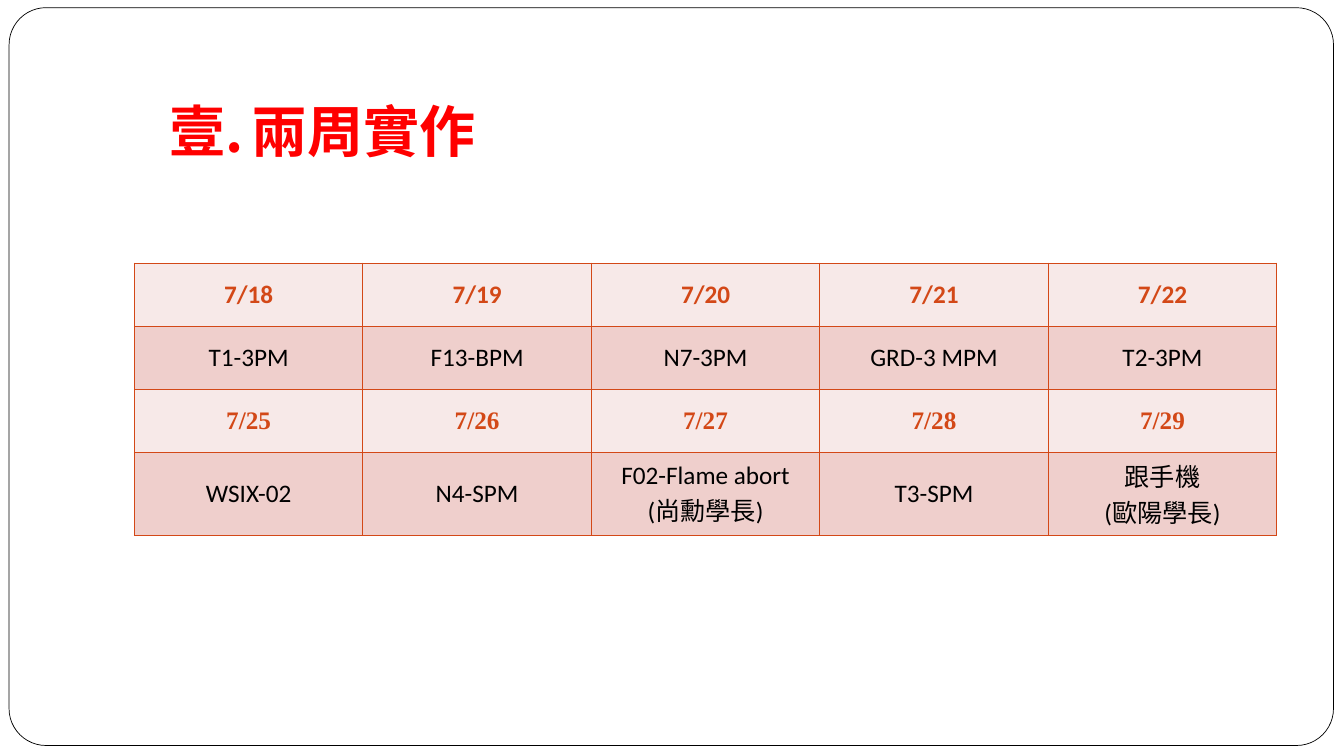
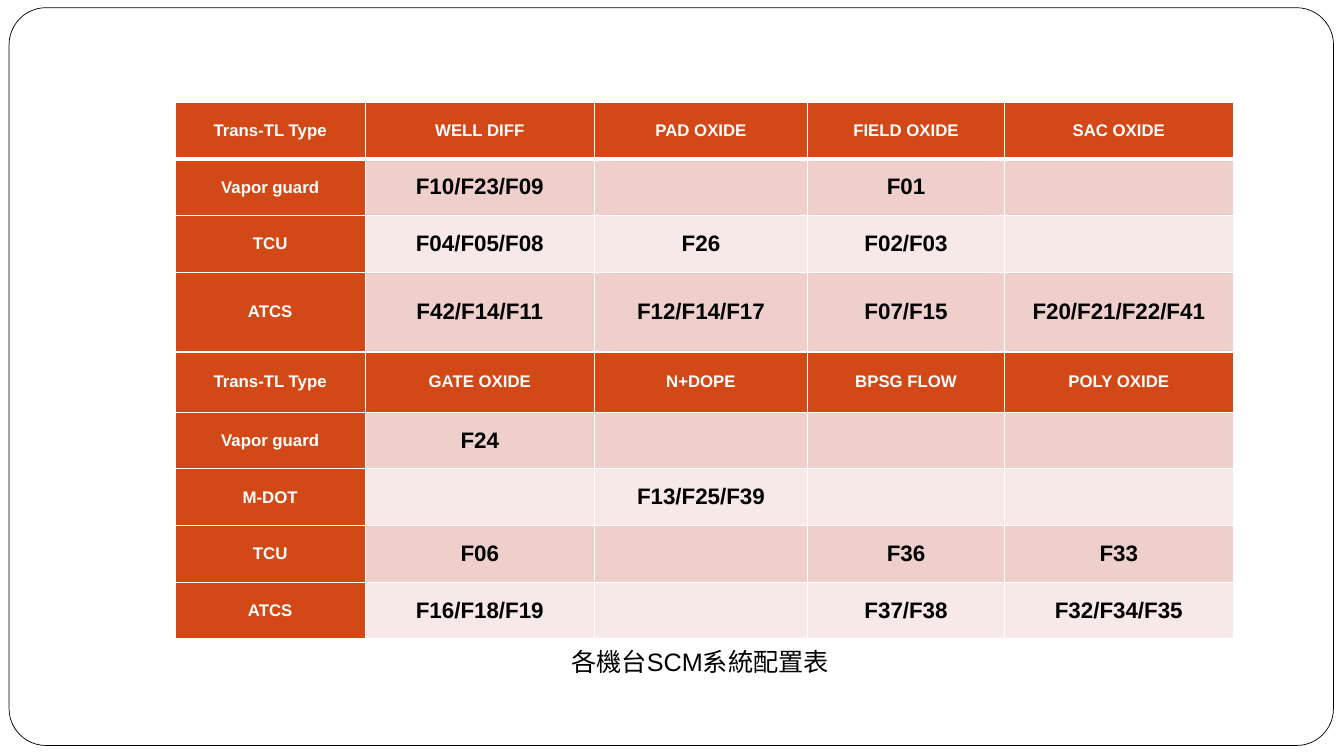
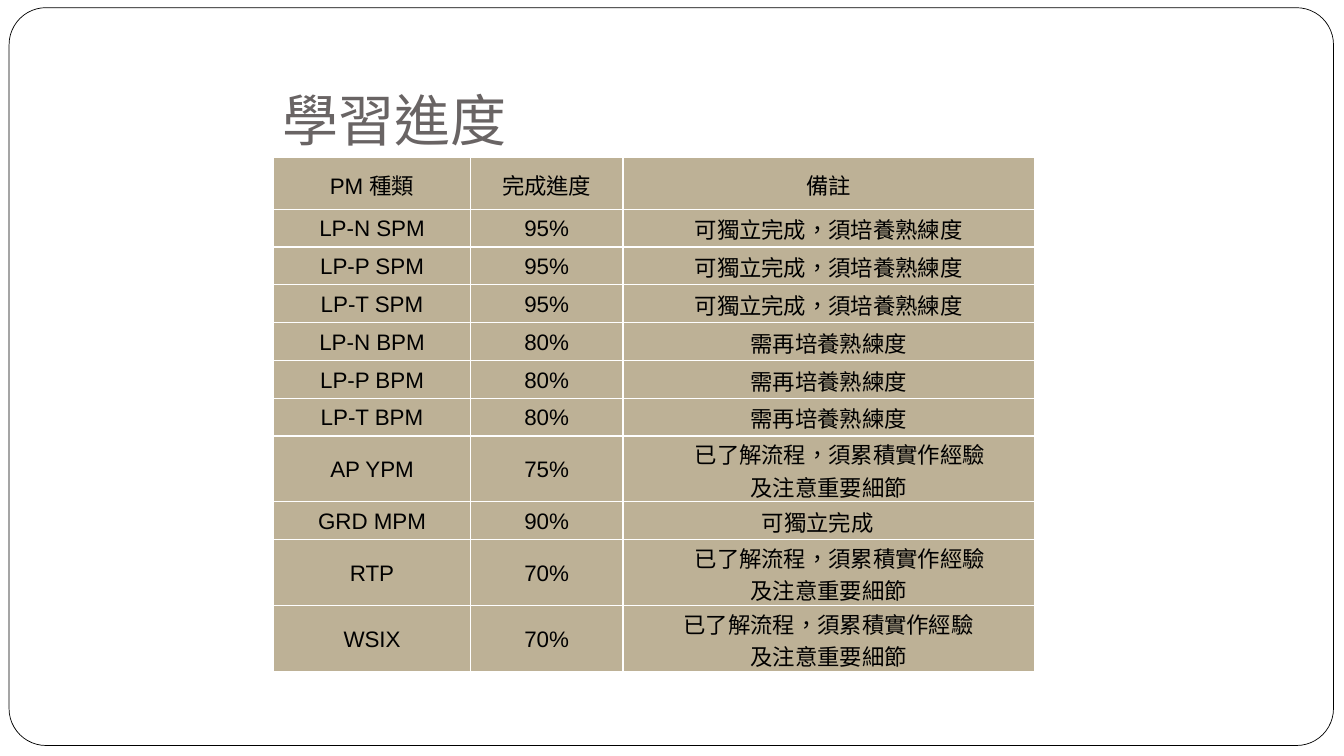
from collections import namedtuple

from lxml.etree import SubElement
from pptx import Presentation
from pptx.dml.color import RGBColor
from pptx.enum.lang import MSO_LANGUAGE_ID
from pptx.enum.shapes import MSO_SHAPE
from pptx.enum.text import MSO_ANCHOR, PP_ALIGN
from pptx.oxml import parse_xml
from pptx.oxml.ns import nsdecls, qn
from pptx.util import Pt

BLACK = RGBColor(0x00, 0x00, 0x00)
WHITE = RGBColor(0xFF, 0xFF, 0xFF)
RED = RGBColor(0xFF, 0x00, 0x00)
GRAY = RGBColor(0x69, 0x64, 0x64)
RUST = RGBColor(0xD3, 0x48, 0x17)
ROSE = RGBColor(0xEF, 0xCF, 0xCC)
BLUSH = RGBColor(0xF7, 0xE9, 0xE8)
SAND = RGBColor(0xBD, 0xB1, 0x96)

Look = namedtuple("Look", "fill size font color bold", defaults=(BLACK, False))

DATE = Look(BLUSH, 18, "Calibri", RUST, True)
TASK = Look(ROSE, 18, "Calibri")
HEAD = Look(RUST, 12, "Arial", WHITE, True)
DARK = Look(ROSE, 16, "Arial", BLACK, True)
LIGHT = DARK._replace(fill=BLUSH)
PLAIN = Look(SAND, 16, "Arial")


class Deck:
    """Hold the shared style and the current slide."""

    def __init__(self):
        self.prs = Presentation()
        self.prs.slide_width, self.prs.slide_height = Pt(960), Pt(540)
        self.slide = None

    def page(self):
        self.slide = self.prs.slides.add_slide(self.prs.slide_layouts[6])
        frame = self.slide.shapes.add_shape(
            MSO_SHAPE.ROUNDED_RECTANGLE, Pt(6.5), Pt(5.5), Pt(946), Pt(527))
        frame.adjustments[0] = 0.05
        frame.shadow.inherit = False
        frame.fill.solid()
        frame.fill.fore_color.rgb = WHITE
        frame.line.color.rgb = BLACK
        frame.line.width = Pt(0.5)

    def run(self, para, text, look):
        run = para.add_run()
        run.text = text
        font = run.font
        font.size, font.name, font.bold = Pt(look.size), look.font, look.bold
        font.color.rgb = look.color
        font.language_id = MSO_LANGUAGE_ID.TRADITIONAL_CHINESE

    def text(self, box, text, look, wrap=True, anchor=MSO_ANCHOR.TOP):
        shape = self.slide.shapes.add_textbox(*map(Pt, box))
        frame = shape.text_frame
        frame.word_wrap, frame.vertical_anchor = wrap, anchor
        para = frame.paragraphs[0]
        self.run(para, text, look)
        return para

    def number(self, para, kind, indent):
        props = para._p.get_or_add_pPr()
        props.set("marL", str(Pt(indent)))
        props.set("indent", str(Pt(-indent)))
        SubElement(props, qn("a:buAutoNum"), type=kind)

    def border(self, cell, color, top, bottom):
        props = cell._tc.get_or_add_tcPr()
        sides = (("L", 1), ("R", 1), ("T", top), ("B", bottom))
        for spot, (side, width) in enumerate(sides):
            props.insert(spot, parse_xml(
                f'<a:ln{side} {nsdecls("a")} w="{Pt(width)}"><a:solidFill>'
                f'<a:srgbClr val="{color}"/></a:solidFill></a:ln{side}>'))

    def table(self, left, top, widths, heights, rows, look, edge,
              inset=None, rule=1):
        table = self.slide.shapes.add_table(
            len(rows), len(widths), Pt(left), Pt(top),
            Pt(sum(widths)), Pt(sum(heights))).table
        table.first_row = table.horz_banding = False
        for col, width in zip(table.columns, widths):
            col.width = Pt(width)
        for row, height in zip(table.rows, heights):
            row.height = Pt(height)
        for y, row in enumerate(rows):
            for x, text in enumerate(row):
                cell = table.cell(y, x)
                self.cell(cell, text, look(y, x), inset)
                self.border(cell, edge, rule if y == 1 else 1,
                            rule if y == 0 else 1)

    def cell(self, cell, text, look, inset):
        cell.vertical_anchor = MSO_ANCHOR.MIDDLE
        if inset:
            (cell.margin_left, cell.margin_top, cell.margin_right,
             cell.margin_bottom) = map(Pt, inset)
        cell.fill.solid()
        cell.fill.fore_color.rgb = look.fill
        frame = cell.text_frame
        for i, line in enumerate(text.split("\n") if text else []):
            para = frame.add_paragraph() if i else frame.paragraphs[0]
            para.alignment = PP_ALIGN.CENTER
            self.run(para, line, look)


def plan(deck):
    deck.page()
    rows = [
        ["7/18", "7/19", "7/20", "7/21", "7/22"],
        ["T1-3PM", "F13-BPM", "N7-3PM", "GRD-3 MPM", "T2-3PM"],
        ["7/25", "7/26", "7/27", "7/28", "7/29"],
        ["WSIX-02", "N4-SPM", "F02-Flame abort\n(尚勳學長)", "T3-SPM",
         "跟手機\n(歐陽學長)"],
    ]
    looks = [DATE, TASK, DATE._replace(font="Times New Roman"), TASK]
    deck.table(96, 188, [163.2] * 5, [45] * 4, rows,
               lambda y, x: looks[y], RUST)
    para = deck.text((112.5, 65.5, 235.5, 55.5), "兩周實作",
                     Look(None, 40, "Arial", RED, True), wrap=False)
    para.alignment = PP_ALIGN.CENTER
    deck.number(para, "ea1ChtPeriod", 58.5)


def setup(deck):
    deck.page()
    rows = [
        ["Trans-TL Type", "WELL DIFF", "PAD OXIDE", "FIELD OXIDE", "SAC OXIDE"],
        ["Vapor guard", "F10/F23/F09", "", "F01", ""],
        ["TCU", "F04/F05/F08", "F26", "F02/F03", ""],
        ["ATCS", "F42/F14/F11", "F12/F14/F17", "F07/F15", "F20/F21/F22/F41"],
        ["Trans-TL Type", "GATE OXIDE", "N+DOPE", "BPSG FLOW", "POLY OXIDE"],
        ["Vapor guard", "F24", "", "", ""],
        ["M-DOT", "", "F13/F25/F39", "", ""],
        ["TCU", "F06", "", "F36", "F33"],
        ["ATCS", "F16/F18/F19", "", "F37/F38", "F32/F34/F35"],
    ]

    def look(y, x):
        if x == 0 or y in (0, 4):
            return HEAD
        return DARK if y % 2 else LIGHT

    heights = [40.5] * 3 + [57, 43] + [40.5] * 4
    deck.table(125, 73, [136, 163.5, 152.5, 140.5, 163.5], heights, rows,
               look, WHITE, (1.5, 0, 1.5, 0), rule=3)
    deck.text((401, 458, 204, 29), "各機台SCM系統配置表",
              Look(None, 18, "Arial"))


def learn(deck):
    deck.page()
    deck.text((195, 54, 182, 58.5), "學習進度",
              Look(None, 40, "Roboto", GRAY), anchor=MSO_ANCHOR.BOTTOM)
    solo, more = "可獨立完成，須培養熟練度", "需再培養熟練度"
    know = "已了解流程，須累積實作經驗\n及注意重要細節"
    rows = [["PM 種類", "完成進度", "備註"]]
    for kind, rate, note in (("SPM", "95%", solo), ("BPM", "80%", more)):
        rows += [[f"LP-{line} {kind}", rate, note] for line in "NPT"]
    rows += [
        ["AP YPM", "75%", "　" + know],
        ["GRD MPM", "90%", "可獨立完成　"],
        ["RTP", "70%", "　" + know],
        ["WSIX", "70%", know],
    ]
    heights = [37] + [47 if "\n" in row[2] else 27 for row in rows[1:]]
    deck.table(195.5, 112.5, [140.5, 109, 294], heights, rows,
               lambda y, x: PLAIN, WHITE, (1.5, 1.5, 1.5, 0))


def main():
    deck = Deck()
    plan(deck)
    setup(deck)
    learn(deck)
    deck.prs.save("out.pptx")


if __name__ == "__main__":
    main()
